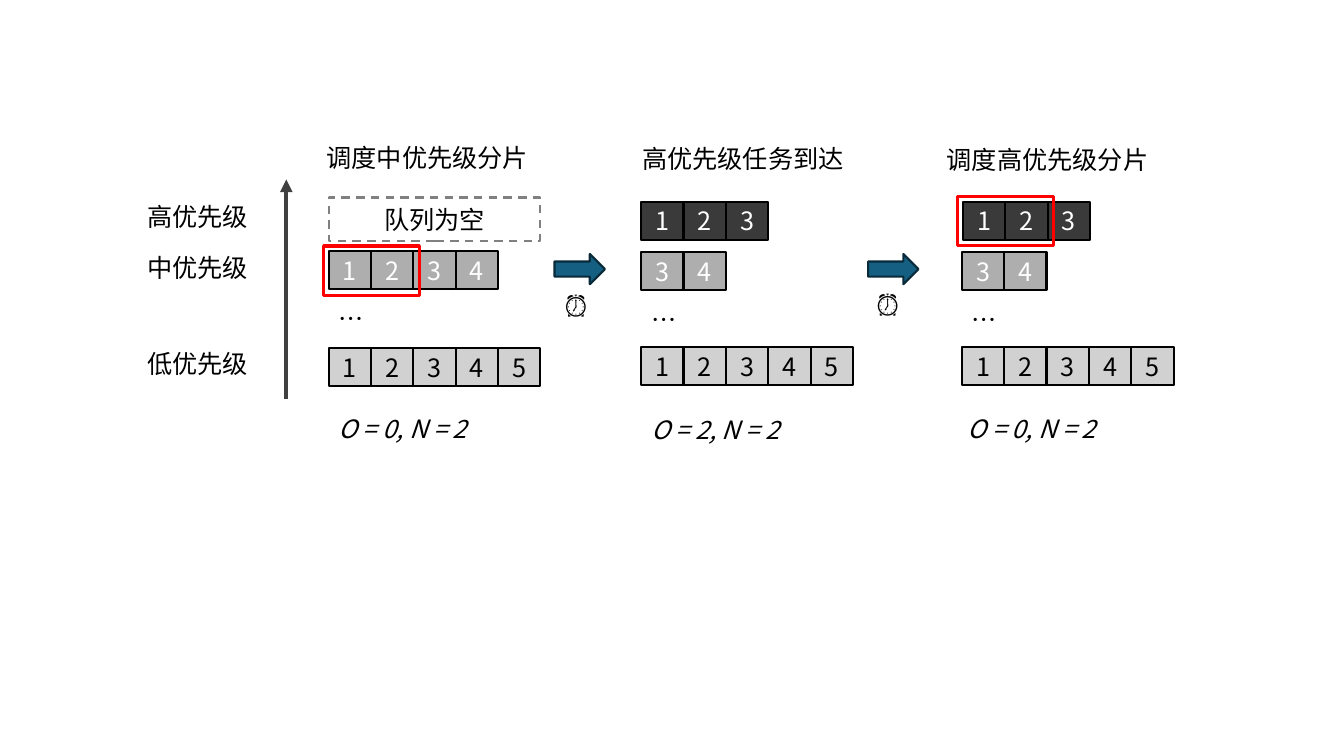
from dataclasses import dataclass

from lxml.etree import SubElement
from pptx import Presentation
from pptx.dml.color import RGBColor
from pptx.enum.dml import MSO_LINE
from pptx.enum.shapes import MSO_CONNECTOR, MSO_SHAPE
from pptx.enum.text import MSO_ANCHOR, MSO_AUTO_SIZE, PP_ALIGN
from pptx.oxml.ns import qn
from pptx.util import Pt

PX = 9144  # one px is a hundredth of an inch


@dataclass(frozen=True)
class Theme:
    font: str = "Noto Sans CJK SC"
    size: int = 18
    black: str = "000000"
    white: str = "FFFFFF"
    high: str = "3A3A3A"
    middle: str = "AEAEAE"
    low: str = "D1D1D1"
    axis: str = "404040"
    empty: str = "808080"
    marker: str = "FF0000"
    step: str = "156082"
    step_edge: str = "092A39"
    thin: float = 1.5
    medium: float = 2.25
    thick: float = 3


THEME = Theme()
CELL_WIDTH, CELL_HEIGHT = 42, 38


def write(frame, text, color=THEME.black, italic=False, align=PP_ALIGN.LEFT):
    para = frame.paragraphs[0]
    para.alignment = align
    span = para.add_run()
    span.text = text
    span.font.size = Pt(THEME.size)
    span.font.italic = italic
    span.font.color.rgb = RGBColor.from_string(color)
    span.font.name = THEME.font
    properties = span._r.get_or_add_rPr()
    SubElement(properties, qn("a:ea")).set("typeface", THEME.font)


class Painter:
    def __init__(self, page, theme):
        self.page = page
        self.theme = theme

    def shape(self, left, top, width, height, line, fill=None,
              weight=THEME.thin, kind=MSO_SHAPE.RECTANGLE):
        box = self.page.shapes.add_shape(
            kind, left * PX, top * PX, width * PX, height * PX)
        box.shadow.inherit = False
        if fill:
            box.fill.solid()
            box.fill.fore_color.rgb = RGBColor.from_string(fill)
        else:
            box.fill.background()
        box.line.color.rgb = RGBColor.from_string(line)
        box.line.width = Pt(weight)
        box.text_frame.vertical_anchor = MSO_ANCHOR.MIDDLE
        return box

    def label(self, left, top, width, text, **style):
        box = self.page.shapes.add_textbox(left * PX, top * PX, width * PX, 40 * PX)
        box.text_frame.word_wrap = False
        box.text_frame.auto_size = MSO_AUTO_SIZE.SHAPE_TO_FIT_TEXT
        write(box.text_frame, text, **style)

    def queue(self, left, top, numbers, fill, color):
        for index, number in enumerate(numbers):
            box = self.shape(left + index * CELL_WIDTH, top, CELL_WIDTH,
                             CELL_HEIGHT, self.theme.black, fill)
            write(box.text_frame, number, color=color, align=PP_ALIGN.CENTER)

    def empty_queue(self, left, top):
        box = self.shape(left, top, 5 * CELL_WIDTH, 43, self.theme.empty)
        box.line.dash_style = MSO_LINE.DASH
        write(box.text_frame, "队列为空", align=PP_ALIGN.CENTER)

    def selection(self, left, top):
        self.shape(left, top, 95, 49, self.theme.marker, weight=self.theme.medium)

    def step(self, left, clock_left, clock_top):
        self.shape(left, 252, 50, 30, self.theme.step_edge, self.theme.step,
                   kind=MSO_SHAPE.RIGHT_ARROW)
        self.label(clock_left, clock_top, 45, "⏰")

    def axis(self, x, bottom, top):
        line = self.page.shapes.add_connector(
            MSO_CONNECTOR.STRAIGHT, x * PX, bottom * PX, x * PX, top * PX)
        line.line.color.rgb = RGBColor.from_string(self.theme.axis)
        line.line.width = Pt(self.theme.thick)
        SubElement(line.line._get_or_add_ln(), qn("a:tailEnd")).set("type", "triangle")
        SubElement(line._element.spPr, qn("a:effectLst"))


def main():
    deck = Presentation()
    deck.slide_width, deck.slide_height = 1333 * PX, 750 * PX
    painter = Painter(deck.slides.add_slide(deck.slide_layouts[6]), THEME)

    # Priority axis and its levels
    painter.axis(284, 396, 178)
    for top, level in ((195, "高优先级"), (245, "中优先级"), (341, "低优先级")):
        painter.label(136, top, 121, level)

    # Stage titles
    for left, top, title in ((314, 136, "调度中优先级分片"),
                             (627, 137, "高优先级任务到达"),
                             (929, 138, "调度高优先级分片")):
        painter.label(left, top, 222, title)

    # Middle and low queues: left, middle top, low top, middle tasks
    for left, middle_top, low_top, tasks in ((326, 249, 345, "1234"),
                                             (636, 250, 344, "34"),
                                             (954, 250, 344, "34")):
        painter.queue(left, middle_top, tasks, THEME.middle, THEME.white)
        painter.label(left, middle_top + 47, 38, "…")
        painter.queue(left, low_top, "12345", THEME.low, THEME.black)

    # High queues
    painter.empty_queue(326, 196)
    for left in (636, 955):
        painter.queue(left, 200, "123", THEME.high, THEME.white)

    # Scheduled slices
    painter.selection(321, 244)
    painter.selection(950, 195)

    # Steps between the stages
    painter.step(550, 549, 282)
    painter.step(861, 858, 281)

    # Counters
    for left, top, offset in ((326, 405, 0), (636, 406, 2), (950, 405, 0)):
        painter.label(left, top, 158, f"O = {offset}, N = 2", italic=True)

    deck.save("out.pptx")


if __name__ == "__main__":
    main()
